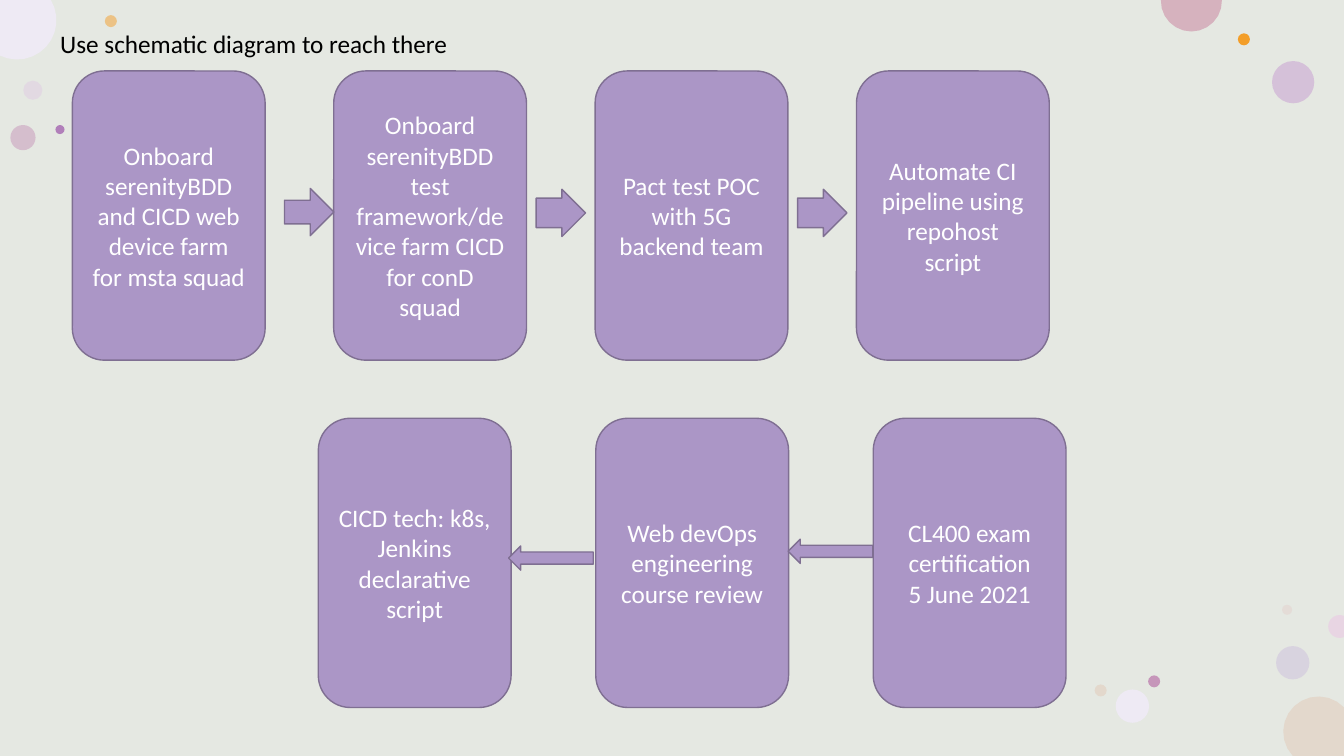
import math

import pptx
import pptx.dml.color
import pptx.enum.shapes
import pptx.enum.text
import pptx.oxml
import pptx.oxml.ns
import pptx.util

Pt = pptx.util.Pt
RGBColor = pptx.dml.color.RGBColor
KIND = pptx.enum.shapes.MSO_SHAPE
ALIGN = pptx.enum.text.PP_ALIGN
ANCHOR = pptx.enum.text.MSO_ANCHOR

WIDE, HIGH = 960, 540
FONT = "Calibri"
SAGE = RGBColor(0xE5, 0xE8, 0xE2)
PURPLE = RGBColor(0xAB, 0x96, 0xC6)
EDGE = RGBColor(0x7F, 0x6F, 0x92)
WHITE = RGBColor(0xFF, 0xFF, 0xFF)
BLACK = RGBColor(0x00, 0x00, 0x00)
LILAC = RGBColor(0xE0, 0xCC, 0xE3)
AMBER = RGBColor(0xF3, 0x9E, 0x29)
LAVENDER = RGBColor(0xCD, 0xC0, 0xDD)
ROSE = RGBColor(0xC6, 0x96, 0xBA)
MAUVE = RGBColor(0xD0, 0xB2, 0xD6)
BLUSH = RGBColor(0xE3, 0xBE, 0xBE)
MIST = RGBColor(0xEE, 0xEA, 0xF4)
SAND = RGBColor(0xE3, 0xD8, 0xCC)
PINK = RGBColor(0xD6, 0xB2, 0xBE)
VIOLET = RGBColor(0xB1, 0x7F, 0xBA)
PETAL = RGBColor(0xE8, 0xD5, 0xE3)

DOTS = [
    (16.6, 57.6, 13.7, LILAC, 50), (74.9, 10.8, 8.6, AMBER, 50),
    (911.5, 461.5, 23.8, LAVENDER, 50), (7.4, 89.3, 18, ROSE, 50),
    (908.6, 43.6, 30.2, MAUVE, 72), (884.2, 23.8, 8.6, AMBER, 100),
    (915.8, 432, 7.2, BLUSH, 28), (820.1, 482.4, 8.6, ROSE, 100),
    (797, 492.5, 23.8, MIST, 100), (781.9, 488.9, 8.6, SAND, 100),
    (39.6, 89.3, 6.5, VIOLET, 100),
]
CUTS = [
    (941.8, 522.7, 25.2, 136.6, 316.3, SAND, [(WIDE, HIGH)]),
    (12.2, 14.4, 28.1, -30.8, 115.7, MIST, [(0, 0)]),
    (851, 0.7, 21.8, -1.8, 181.8, PINK, []),
    (956.9, 447.5, 8.2, 67.8, 292.2, PETAL, []),
]
TOP = [
    "Onboard serenityBDD and CICD web device farm for msta squad",
    "Onboard serenityBDD test framework/device farm CICD for conD squad",
    "Pact test POC with 5G backend team",
    "Automate CI pipeline using repohost script",
]
BOTTOM = [
    "CICD tech: k8s, Jenkins declarative script",
    "Web devOps engineering course review",
    "CL400 exam certification\n5 June 2021",
]
RIGHTS = [(203.2, 134.6, 0.5), (383, 135.2, 0.625), (569.7, 135.2, 0.625)]
LEFTS = [(363.3, 390), (563, 385.2)]


def write(shape, text, size=18, color=WHITE, align=ALIGN.CENTER,
          anchor=ANCHOR.MIDDLE, wrap=True):
    """Put formatted text into a shape, one paragraph per line."""
    frame = shape.text_frame
    frame.text = text
    frame.word_wrap = wrap
    frame.vertical_anchor = anchor
    for para in frame.paragraphs:
        para.alignment = align
        para.font.size = Pt(size)
        para.font.name = FONT
        para.font.color.rgb = color


def paint(shape, fill, alpha=100, line=None):
    """Set the fill, its opacity in percent, and the outline."""
    shape.shadow.inherit = False
    shape.fill.solid()
    shape.fill.fore_color.rgb = fill
    if alpha < 100:
        qn = pptx.oxml.ns.qn
        tint = shape.fill._xPr.find(qn("a:solidFill"))[0]
        tint.append(pptx.oxml.parse_xml(
            f'<a:alpha {pptx.oxml.ns.nsdecls("a")} val="{alpha * 1000}"/>'))
    if line is None:
        shape.line.fill.background()
    else:
        shape.line.color.rgb = line
        shape.line.width = Pt(1)


def place(slide, kind, left, top, width, height, fill, **style):
    """Add a painted preset shape."""
    shape = slide.shapes.add_shape(
        kind, Pt(left), Pt(top), Pt(width), Pt(height))
    paint(shape, fill, **style)
    return shape


def cut(slide, x, y, radius, start, end, fill, corner, steps=12):
    """Draw the arc of a bubble that the slide edge cuts off."""
    points = []
    for step in range(steps + 1):
        turn = math.radians(start + (end - start) * step / steps)
        points.append((x + radius * math.cos(turn),
                       y + radius * math.sin(turn)))
    points = [(Pt(px), Pt(py)) for px, py in points + corner]
    pen = slide.shapes.build_freeform(*points[0])
    pen.add_line_segments(points[1:], close=True)
    paint(pen.convert_to_shape(), fill)


def scatter(slide):
    """Lay the backdrop and strew the bubbles over it."""
    place(slide, KIND.RECTANGLE, 0, 0, WIDE, HIGH, SAGE)
    for left, top, size, fill, alpha in DOTS:
        place(slide, KIND.OVAL, left, top, size, size, fill, alpha=alpha)
    for arc in CUTS:
        cut(slide, *arc)


def head(slide, left, top, width, height):
    """Format the title placeholder in its box and bring it forward."""
    title = slide.shapes.title
    title.left, title.top = Pt(left), Pt(top)
    title.width, title.height = Pt(width), Pt(height)
    write(title, "Use schematic diagram to reach there", color=BLACK,
          align=ALIGN.LEFT, anchor=ANCHOR.TOP, wrap=False)
    slide.shapes._spTree.append(title._element)


def row(slide, texts, left, top, width, height, step):
    """Set out equally spaced cards from the left."""
    for index, text in enumerate(texts):
        card = place(slide, KIND.ROUNDED_RECTANGLE, left + index * step, top,
                     width, height, PURPLE, line=EDGE)
        write(card, text)


def arrows(slide):
    """Point the upper row rightwards and the lower row leftwards."""
    for left, top, shaft in RIGHTS:
        arrow = place(slide, KIND.RIGHT_ARROW, left, top, 35.3, 33.8, PURPLE,
                      line=EDGE)
        arrow.adjustments[0] = shaft
    for left, top in LEFTS:
        place(slide, KIND.LEFT_ARROW, left, top, 60.5, 17.3, PURPLE, line=EDGE)


def main():
    """Build and save the slide."""
    deck = pptx.Presentation()
    deck.slide_width, deck.slide_height = Pt(WIDE), Pt(HIGH)
    slide = deck.slides.add_slide(deck.slide_layouts[5])
    scatter(slide)
    head(slide, 35.8, 16.6, 294.5, 29)
    row(slide, TOP, 51.7, 50.7, 137.7, 206.6, 186.7)
    row(slide, BOTTOM, 227.4, 298.8, 137.7, 206.6, 198.2)
    arrows(slide)
    deck.save("out.pptx")


if __name__ == "__main__":
    main()
